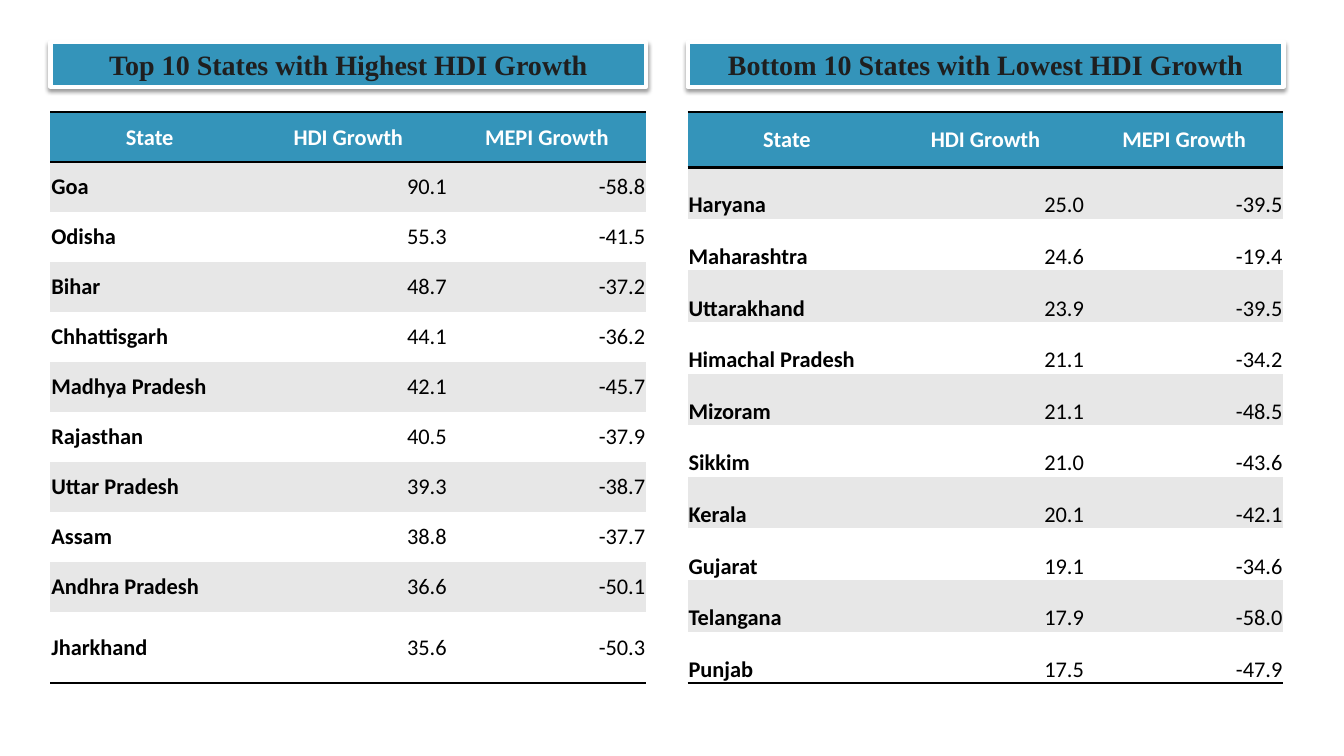
from dataclasses import dataclass

from lxml import etree
from pptx import Presentation
from pptx.dml.color import RGBColor
from pptx.enum.shapes import MSO_SHAPE
from pptx.enum.text import MSO_ANCHOR, MSO_AUTO_SIZE, PP_ALIGN
from pptx.oxml.ns import qn
from pptx.slide import Slide
from pptx.table import _Cell
from pptx.util import Inches, Pt

RECTANGLE = MSO_SHAPE.RECTANGLE
TOP, MIDDLE, BOTTOM = MSO_ANCHOR.TOP, MSO_ANCHOR.MIDDLE, MSO_ANCHOR.BOTTOM
LEFT, CENTER, RIGHT = PP_ALIGN.LEFT, PP_ALIGN.CENTER, PP_ALIGN.RIGHT
FIT_SHAPE = MSO_AUTO_SIZE.SHAPE_TO_FIT_TEXT
NO_STYLE_NO_GRID = "{2D5ABB26-0587-4C30-8999-92F81FD0307C}"


@dataclass(frozen=True)
class Theme:
    accent: str = "3494BA"
    heading_text: str = "1F1F1F"
    white: str = "FFFFFF"
    black: str = "000000"
    band: str = "E7E7E7"
    heading_font: str = "Times New Roman"
    table_font: str = "Calibri"
    heading_size: int = 20
    table_size: int = 16
    frame: int = 3
    rule: int = 2


@dataclass(frozen=True)
class Panel:
    heading: str
    left: float
    anchor: MSO_ANCHOR
    tall_row: int
    tall_height: float
    states: list[tuple[str, str, str]]


THEME = Theme()
PANEL_WIDTH = 5.91
HEADING_TOP, HEADING_HEIGHT = 0.42, 0.44
TABLE_TOP, TABLE_HEIGHT = 1.11, 5.67
COLUMNS = ("State", "HDI Growth", "MEPI Growth")

PANELS = [
    Panel("Top 10 States with Highest HDI Growth", 0.5, MIDDLE, 10, 0.71, [
        ("Goa", "90.1", "-58.8"),
        ("Odisha", "55.3", "-41.5"),
        ("Bihar", "48.7", "-37.2"),
        ("Chhattisgarh", "44.1", "-36.2"),
        ("Madhya Pradesh", "42.1", "-45.7"),
        ("Rajasthan", "40.5", "-37.9"),
        ("Uttar Pradesh", "39.3", "-38.7"),
        ("Assam", "38.8", "-37.7"),
        ("Andhra Pradesh", "36.6", "-50.1"),
        ("Jharkhand", "35.6", "-50.3"),
    ]),
    Panel("Bottom 10 States with Lowest HDI Growth", 6.82, BOTTOM, 0, 0.55, [
        ("Haryana", "25.0", "-39.5"),
        ("Maharashtra", "24.6", "-19.4"),
        ("Uttarakhand", "23.9", "-39.5"),
        ("Himachal Pradesh", "21.1", "-34.2"),
        ("Mizoram", "21.1", "-48.5"),
        ("Sikkim", "21.0", "-43.6"),
        ("Kerala", "20.1", "-42.1"),
        ("Gujarat", "19.1", "-34.6"),
        ("Telangana", "17.9", "-58.0"),
        ("Punjab", "17.5", "-47.9"),
    ]),
]


def rgb(color: str) -> RGBColor:
    return RGBColor.from_string(color)


def add_color(parent: etree._Element, color: str) -> etree._Element:
    return etree.SubElement(parent, qn("a:srgbClr"), val=color)


def add_heading(s: Slide, panel: Panel) -> None:
    sp = s.shapes.add_shape(RECTANGLE, Inches(panel.left), Inches(HEADING_TOP),
                            Inches(PANEL_WIDTH), Inches(HEADING_HEIGHT))
    sp.fill.solid()
    sp.fill.fore_color.rgb = rgb(THEME.accent)
    sp.line.color.rgb = rgb(THEME.white)
    sp.line.width = Pt(THEME.frame)

    sp.shadow.inherit = False
    effects = sp._element.spPr.find(qn("a:effectLst"))
    shadow = etree.SubElement(effects, qn("a:outerShdw"), blurRad=str(Pt(3.1)),
                              dist=str(Pt(1.6)), dir="5400000", rotWithShape="0")
    etree.SubElement(add_color(shadow, THEME.black), qn("a:alpha"), val="38000")

    tf = sp.text_frame
    tf.word_wrap = True
    tf.auto_size = FIT_SHAPE
    tf.vertical_anchor = TOP
    p = tf.paragraphs[0]
    p.text = panel.heading
    p.alignment = CENTER
    p.font.name = THEME.heading_font
    p.font.size = Pt(THEME.heading_size)
    p.font.bold = True
    p.font.color.rgb = rgb(THEME.heading_text)


def add_borders(cell: _Cell, sides: tuple[str, ...]) -> None:
    tcPr = cell._tc.get_or_add_tcPr()
    for side in sides:
        ln = etree.SubElement(tcPr, qn(f"a:ln{side}"), w=str(Pt(THEME.rule)))
        add_color(etree.SubElement(ln, qn("a:solidFill")), THEME.black)


def format_cell(cell: _Cell, text: str, row: int, col: int, panel: Panel) -> None:
    header = row == 0
    if header:
        add_borders(cell, ("T", "B"))
    elif row == len(panel.states):
        add_borders(cell, ("B",))
    cell.fill.solid()
    band = THEME.band if row % 2 else THEME.white
    cell.fill.fore_color.rgb = rgb(THEME.accent if header else band)
    cell.margin_left = cell.margin_right = cell.margin_top = Inches(0.01)
    cell.margin_bottom = 0
    cell.vertical_anchor = MIDDLE if header else panel.anchor

    p = cell.text_frame.paragraphs[0]
    p.text = text
    p.alignment = CENTER if header else RIGHT if col else LEFT
    p.font.name = THEME.table_font
    p.font.size = Pt(THEME.table_size)
    p.font.bold = header or col == 0
    p.font.color.rgb = rgb(THEME.white if header else THEME.black)


def add_state_table(s: Slide, panel: Panel) -> None:
    rows = [COLUMNS, *panel.states]
    table = s.shapes.add_table(len(rows), len(COLUMNS), Inches(panel.left),
                               Inches(TABLE_TOP), Inches(PANEL_WIDTH),
                               Inches(TABLE_HEIGHT)).table
    table._tbl.tblPr.find(qn("a:tableStyleId")).text = NO_STYLE_NO_GRID
    row_height = (TABLE_HEIGHT - panel.tall_height) / (len(rows) - 1)
    for i, values in enumerate(rows):
        height = panel.tall_height if i == panel.tall_row else row_height
        table.rows[i].height = Inches(height)
        for j, text in enumerate(values):
            format_cell(table.cell(i, j), text, i, j, panel)


def main() -> None:
    prs = Presentation()
    prs.slide_width, prs.slide_height = Inches(13.33), Inches(7.5)
    s = prs.slides.add_slide(prs.slide_layouts.get_by_name("Blank"))
    for panel in PANELS:
        add_heading(s, panel)
        add_state_table(s, panel)
    prs.save("out.pptx")


if __name__ == "__main__":
    main()
